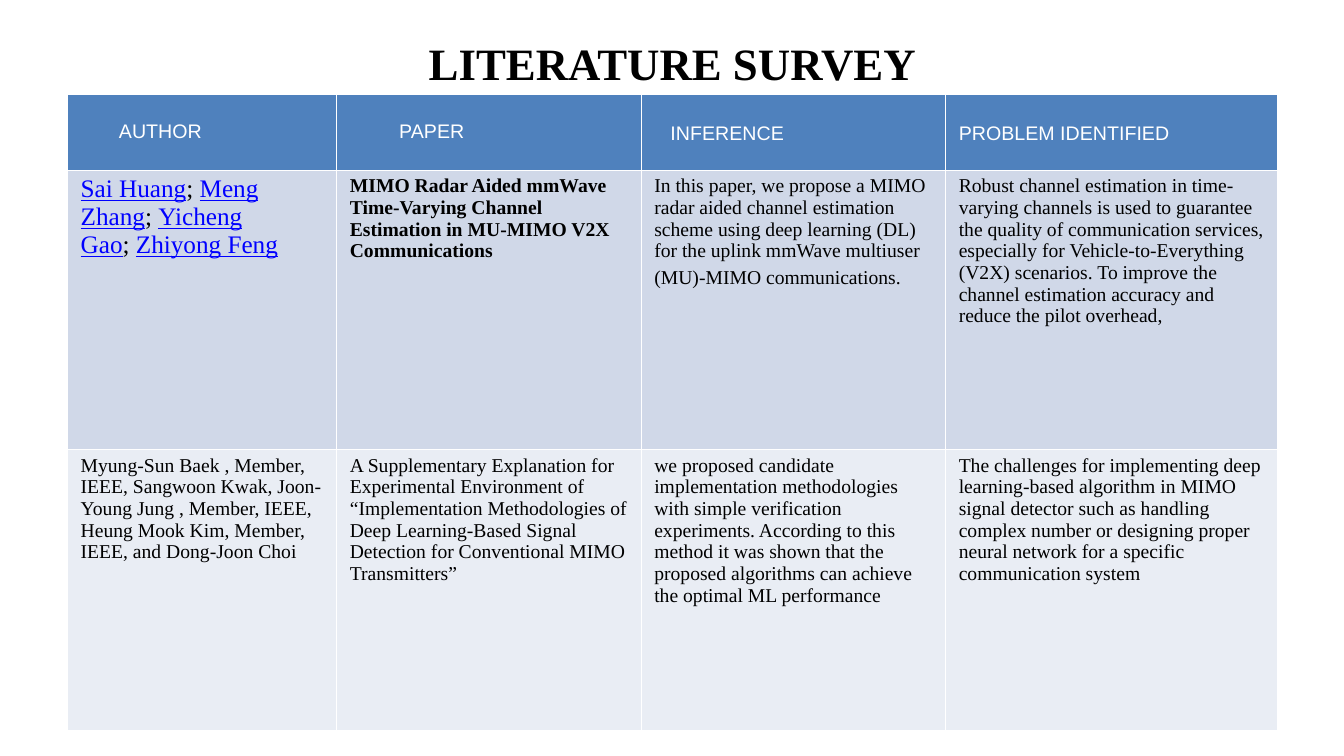
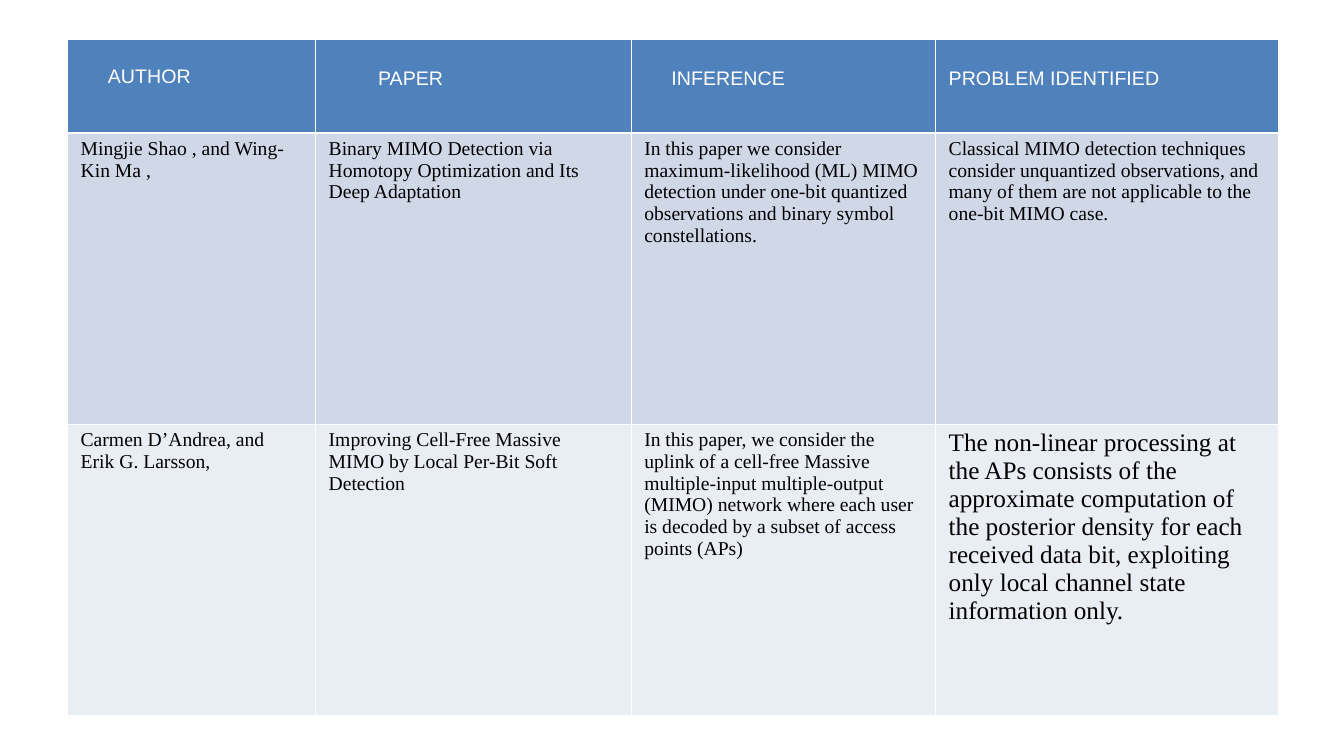
from lxml import etree
from pptx import Presentation
from pptx.dml.color import RGBColor
from pptx.enum.text import MSO_ANCHOR, PP_ALIGN
from pptx.oxml.ns import qn
from pptx.util import Inches, Pt

MIDDLE = MSO_ANCHOR.MIDDLE
TOP = MSO_ANCHOR.TOP
CENTER = PP_ALIGN.CENTER
LEFT = PP_ALIGN.LEFT

WHITE = RGBColor(0xFF, 0xFF, 0xFF)
BLACK = RGBColor(0x00, 0x00, 0x00)
LINK_BLUE = RGBColor(0x00, 0x00, 0xFF)
HEADER_BLUE = RGBColor(0x4F, 0x81, 0xBD)
ROW_FILLS = [RGBColor(0xD0, 0xD8, 0xE8), RGBColor(0xE9, 0xED, 0xF4)]

SERIF = "Times New Roman"
SANS = "Arial"
HARD_SPACE = chr(160)

TABLE_LEFT = 0.67
TABLE_WIDTH = 12
SIDE_MARGIN = 0.13
EDGE_MARGIN = 0.05
BORDER_POINTS = 1

HEADERS = ["AUTHOR", "PAPER", "INFERENCE", "PROBLEM IDENTIFIED"]
LINK = {"color": LINK_BLUE, "underline": True}
SEPARATOR = (";" + HARD_SPACE, {})

SLIDES = [
    {
        "title": "LITERATURE SURVEY",
        "top": 0.94,
        "columns": [2.67, 3.02, 3.02, 3.29],
        "rows": [0.75, 2.77, 2.79],
        "header_indents": [0.51, 0.62, 0.29, 0.13],
        "header_tops": [0.26, 0.26, 0.28, 0.28],
        "size": {(0, 0): 18},
        "body": [
            [
                [("Sai Huang", LINK), SEPARATOR, ("Meng Zhang", LINK), SEPARATOR,
                 ("Yicheng Gao", LINK), SEPARATOR, ("Zhiyong Feng", LINK)],
                [("MIMO Radar Aided mmWave Time-Varying Channel Estimation in "
                  "MU-MIMO V2X Communications", {"bold": True})],
                [("In this paper, we propose a MIMO radar aided channel estimation "
                  "scheme using deep learning (DL) for the uplink mmWave multiuser "
                  "(MU)-MIMO communications.", {}), (HARD_SPACE, {"size": 18})],
                "Robust channel estimation in time-varying channels is used to "
                "guarantee the quality of communication services, especially for "
                "Vehicle-to-Everything (V2X) scenarios. To improve the channel "
                "estimation accuracy and reduce the pilot overhead,",
            ],
            [
                "Myung-Sun Baek , Member, IEEE, Sangwoon Kwak, Joon-Young Jung , "
                "Member, IEEE, Heung Mook Kim, Member, IEEE, and Dong-Joon Choi",
                "A Supplementary Explanation for Experimental Environment of "
                "“Implementation Methodologies of Deep Learning-Based Signal "
                "Detection for Conventional MIMO Transmitters”",
                "we proposed candidate implementation methodologies with simple "
                "verification experiments. According to this method it was shown "
                "that the proposed algorithms can achieve the optimal ML performance",
                "The challenges for implementing deep learning-based algorithm in "
                "MIMO signal detector such as handling complex number or designing "
                "proper neural network for a specific communication system",
            ],
        ],
    },
    {
        "title": None,
        "top": 0.39,
        "columns": [2.46, 3.13, 3.02, 3.4],
        "rows": [0.93, 2.89, 2.89],
        "header_indents": [0.4, 0.62, 0.4, 0.13],
        "header_tops": [0.26, 0.28, 0.28, 0.28],
        "size": {(1, 3): 18},
        "body": [
            [
                "Mingjie Shao , and Wing-Kin Ma ,",
                "Binary MIMO Detection via Homotopy Optimization and Its Deep "
                "Adaptation",
                "In this paper we consider maximum-likelihood (ML) MIMO detection "
                "under one-bit quantized observations and binary symbol "
                "constellations.",
                "Classical MIMO detection techniques consider unquantized "
                "observations, and many of them are not applicable to the one-bit "
                "MIMO case.",
            ],
            [
                "Carmen D’Andrea, and Erik G. Larsson,",
                "Improving Cell-Free Massive MIMO by Local Per-Bit Soft Detection",
                "In this paper, we consider the uplink of a cell-free Massive "
                "multiple-input multiple-output (MIMO) network where each user is "
                "decoded by a subset of access points (APs)",
                "The non-linear processing at the APs consists of the approximate "
                "computation of the posterior density for each received data bit, "
                "exploiting only local channel state information only.",
            ],
        ],
    },
]


def write_text(text_frame, content, align=LEFT, **defaults):
    """Write a string or a list of (text, format) runs as one paragraph."""
    paragraph = text_frame.paragraphs[0]
    paragraph.alignment = align
    runs = [(content, {})] if isinstance(content, str) else content
    for text, changes in runs:
        style = {"size": 14, "font": SERIF, "color": BLACK, "bold": False,
                 "underline": False, **defaults, **changes}
        run = paragraph.add_run()
        run.text = text
        run.font.size = Pt(style["size"])
        run.font.name = style["font"]
        run.font.color.rgb = style["color"]
        run.font.bold = style["bold"]
        run.font.underline = style["underline"]


def add_borders(cell):
    """Draw a white line on all four sides of a cell."""
    properties = cell._tc.get_or_add_tcPr()
    for position, side in enumerate(["lnL", "lnR", "lnT", "lnB"]):
        line = etree.Element(qn(f"a:{side}"), w=str(Pt(BORDER_POINTS)))
        fill = etree.SubElement(line, qn("a:solidFill"))
        etree.SubElement(fill, qn("a:srgbClr"), val=str(WHITE))
        properties.insert(position, line)


def fill_cell(cell, content, fill, left=SIDE_MARGIN, top=EDGE_MARGIN, **style):
    """Give a cell its fill, borders, margins and text."""
    cell.fill.solid()
    cell.fill.fore_color.rgb = fill
    add_borders(cell)
    cell.vertical_anchor = TOP
    cell.margin_left = Inches(left)
    cell.margin_right = Inches(SIDE_MARGIN)
    cell.margin_top = Inches(top)
    cell.margin_bottom = Inches(EDGE_MARGIN)
    write_text(cell.text_frame, content, **style)


def add_title(slide, text):
    """Add the centred slide title."""
    shape = slide.shapes.add_textbox(Inches(TABLE_LEFT), Inches(0.3),
                                     Inches(TABLE_WIDTH), Inches(0.64))
    shape.text_frame.word_wrap = True
    shape.text_frame.vertical_anchor = MIDDLE
    write_text(shape.text_frame, text, align=CENTER, size=32, bold=True)


def add_survey_table(slide, survey):
    """Add the survey table with its header row and body rows."""
    columns, rows = survey["columns"], survey["rows"]
    table = slide.shapes.add_table(
        len(rows), len(columns), Inches(TABLE_LEFT), Inches(survey["top"]),
        Inches(TABLE_WIDTH), Inches(sum(rows))).table
    table.horz_banding = False
    for column, width in zip(table.columns, columns):
        column.width = Inches(width)
    for row, height in zip(table.rows, rows):
        row.height = Inches(height)

    headers = zip(HEADERS, survey["header_indents"], survey["header_tops"])
    for column, (text, indent, top) in enumerate(headers):
        fill_cell(table.cell(0, column), text, HEADER_BLUE, left=indent, top=top,
                  font=SANS, color=WHITE)
    for row, (contents, fill) in enumerate(zip(survey["body"], ROW_FILLS)):
        for column, content in enumerate(contents):
            fill_cell(table.cell(row + 1, column), content, fill,
                      size=survey["size"].get((row, column), 14))


def main():
    """Build the literature survey slides."""
    presentation = Presentation()
    presentation.slide_width = Inches(13.33)
    presentation.slide_height = Inches(7.5)
    for survey in SLIDES:
        slide = presentation.slides.add_slide(presentation.slide_layouts[6])
        if survey["title"]:
            add_title(slide, survey["title"])
        add_survey_table(slide, survey)
    presentation.save("out.pptx")


if __name__ == "__main__":
    main()
